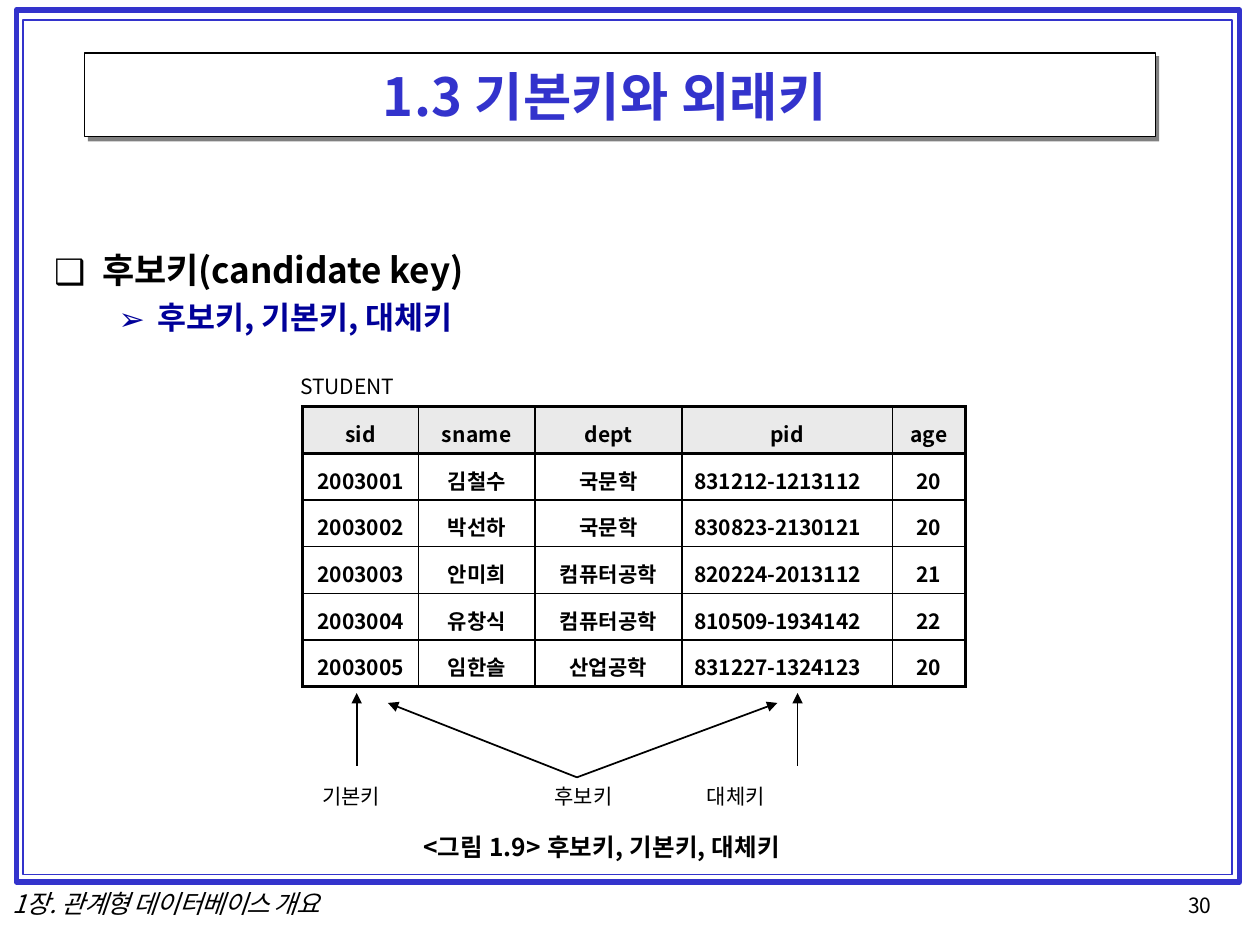
from lxml import etree
from pptx import Presentation
from pptx.dml.color import RGBColor
from pptx.enum.shapes import MSO_CONNECTOR, MSO_SHAPE
from pptx.enum.text import MSO_ANCHOR, MSO_AUTO_SIZE, PP_ALIGN
from pptx.oxml.ns import qn
from pptx.util import Cm, Pt

RECT, STRAIGHT = MSO_SHAPE.RECTANGLE, MSO_CONNECTOR.STRAIGHT
LEFT, CENTER = PP_ALIGN.LEFT, PP_ALIGN.CENTER
TOP, NO_FIT = MSO_ANCHOR.TOP, MSO_AUTO_SIZE.NONE
FONT = "Noto Sans CJK KR"
BLACK, WHITE, BLUE, NAVY = "000000", "FFFFFF", "3333CC", "000099"
GREY, HEADER = "808080", "EAEAEA"
THIN, THICK = 1, 2.25

# Boxes: left, top, width, height in cm; then fill, line colour, line width
FRAMES = [
    ((0.33, 0.2, 24.66, 17.58), None, BLUE, 3),
    ((0.46, 0.41, 24.38, 17.22), None, BLUE, 1),
    ((1.77, 1.13, 21.6, 1.72), GREY, None, 0),
    ((1.7, 1.07, 21.59, 1.68), WHITE, BLACK, 0.75),
]
TITLE = [("1.3 ", 0.1), ("기본키와 ", 0.2), ("외래키", 0.1)]
# Bullet, left margin, hanging indent, space before, size, colour, runs
BULLETS = [
    ("❑", 0.99, -0.97, 0, 20, BLACK, [("후보키(candidate ", -0.1), ("key)", 0.1)]),
    ("➢", 2.11, -0.79, 4.3, 18, NAVY, [("후보키, 기본키, ", -0.1), ("대체키", 0.2)]),
]
STUDENTS = [
    ("sid", "sname", "dept", "pid", "age"),
    ("2003001", "김철수", "국문학", "831212-1213112", "20"),
    ("2003002", "박선하", "국문학", "830823-2130121", "20"),
    ("2003003", "안미희", "컴퓨터공학", "820224-2013112", "21"),
    ("2003004", "유창식", "컴퓨터공학", "810509-1934142", "22"),
    ("2003005", "임한솔", "산업공학", "831227-1324123", "20"),
]
COL_WIDTHS, ROW_HEIGHT = (2.34, 2.34, 2.97, 4.24, 1.47), 0.94
PID = STUDENTS[0].index("pid")
COL_SPACING = (0, 0.1, 0.1, -0.1, 0.1)
# Text, box, letter spacing, font format, exact line height
LABELS = [
    ("STUDENT", (6.05, 7.54, 2.4, 0.58), 0, {"size": Pt(12)}, None),
    ("기본키", (6.5, 15.79, 1.5, 0.58), 0, {"size": Pt(12)}, None),
    ("후보키", (11.18, 15.79, 1.5, 0.58), 0, {"size": Pt(12)}, None),
    ("대체키", (14.25, 15.79, 1.5, 0.58), 0, {"size": Pt(12)}, None),
    ("<그림 1.9> 후보키, 기본키, 대체키", (8.53, 16.77, 8.8, 0.7), 0.1,
     {"size": Pt(14), "bold": True}, None),
    ("1장. 관계형 데이터베이스 개요", (0.25, 17.93, 7.5, 0.58), -0.5,
     {"size": Pt(14.5), "italic": True}, Pt(16.6)),
    ("30", (23.95, 18.01, 0.7, 0.48), 0, {"size": Pt(12)}, Pt(13.7)),
]
# Each arrow points from its first end to its second
ARROWS = [
    ((7.19, 15.44), (7.19, 13.97)),
    ((16.08, 15.44), (16.08, 13.97)),
    ((11.63, 15.67), (7.82, 14.17)),
    ((11.63, 15.67), (15.67, 14.17)),
]


def rgb(value):
    return RGBColor.from_string(value)


def cms(values):
    return [Cm(v) for v in values]


def set_frame(tf, top=0.0):
    formats = {"margin_left": 0, "margin_right": 0, "margin_bottom": 0,
               "margin_top": Cm(top), "word_wrap": True,
               "auto_size": NO_FIT, "vertical_anchor": TOP}
    for name, value in formats.items():
        setattr(tf, name, value)


def add_run(p, text, spacing=0.0, color=BLACK, **formats):
    r = p.add_run()
    r.text = text
    for name, value in {"name": FONT, **formats}.items():
        setattr(r.font, name, value)
    r.font.color.rgb = rgb(color)
    rpr = r.font._element
    rpr.set("spc", str(round(spacing * 100)))
    etree.SubElement(rpr, qn("a:ea")).set("typeface", FONT)


def set_indent(p, margin, hanging=0.0, bullet=None):
    ppr = p._p.get_or_add_pPr()
    ppr.set("marL", str(Cm(margin)))
    ppr.set("indent", str(Cm(hanging)))
    if bullet:
        etree.SubElement(ppr, qn("a:buFont")).set("typeface", FONT)
        etree.SubElement(ppr, qn("a:buChar")).set("char", bullet)


def set_borders(cell, widths):
    """Draw black borders; widths are in points, by side L, R, T, B."""
    tcpr = cell._tc.get_or_add_tcPr()
    for side, width in widths.items():
        ln = etree.SubElement(tcpr, qn(f"a:ln{side}"), w=str(Pt(width)))
        fill = etree.SubElement(ln, qn("a:solidFill"))
        etree.SubElement(fill, qn("a:srgbClr"), val=BLACK)


def add_frame(shapes, box, fill, line, width):
    sp = shapes.add_shape(RECT, *cms(box))
    sp.shadow.inherit = False
    if fill:
        sp.fill.solid()
        sp.fill.fore_color.rgb = rgb(fill)
    else:
        sp.fill.background()
    if line:
        sp.line.color.rgb = rgb(line)
        sp.line.width = Pt(width)
    else:
        sp.line.fill.background()


def place(shapes, sp, box):
    """Move a placeholder to its box, in front of the frames."""
    sp.left, sp.top, sp.width, sp.height = cms(box)
    shapes._spTree.append(sp._element)


def add_headings(shapes):
    title, body = shapes.title, shapes.placeholders[1]
    place(shapes, title, (1.7, 1.27, 21.56, 1.35))
    set_frame(title.text_frame, 0.03)
    p = title.text_frame.paragraphs[0]
    p.alignment = LEFT
    set_indent(p, 6.02)
    for text, spacing in TITLE:
        add_run(p, text, spacing, BLUE, size=Pt(30), bold=True)

    place(shapes, body, (1.07, 4.8, 8.59, 2.01))
    tf = body.text_frame
    set_frame(tf, 0.2)
    for i, (bullet, margin, hanging, before, size, color, runs) in enumerate(BULLETS):
        p = tf.add_paragraph() if i else tf.paragraphs[0]
        p.level = i
        p.space_before = Pt(before)
        set_indent(p, margin, hanging, bullet)
        for text, spacing in runs:
            add_run(p, text, spacing, color, size=Pt(size), bold=True)


def add_students(shapes):
    n_rows, n_cols = len(STUDENTS), len(COL_WIDTHS)
    box = (6.1, 8.2, sum(COL_WIDTHS), ROW_HEIGHT * n_rows)
    table = shapes.add_table(n_rows, n_cols, *cms(box)).table
    table.first_row = table.horz_banding = False
    for col, width in zip(table.columns, COL_WIDTHS):
        col.width = Cm(width)
    for i, values in enumerate(STUDENTS):
        table.rows[i].height = Cm(ROW_HEIGHT)
        for j, text in enumerate(values):
            cell = table.cell(i, j)
            set_borders(cell, {
                "L": THICK if j == 0 else THIN,
                "R": THICK if j == n_cols - 1 else THIN,
                "T": THICK if i <= 1 else THIN,
                "B": THICK if i in (0, n_rows - 1) else THIN,
            })
            cell.fill.solid()
            cell.fill.fore_color.rgb = rgb(WHITE if i else HEADER)
            cell.margin_left = cell.margin_right = cell.margin_bottom = 0
            cell.margin_top = Cm(0.23)
            p = cell.text_frame.paragraphs[0]
            if i and j == PID:
                set_indent(p, 0.25)
            else:
                p.alignment = CENTER
            add_run(p, text, COL_SPACING[j] if i else 0.1, size=Pt(12), bold=True)


def add_label(shapes, text, box, spacing, formats, line_height):
    tf = shapes.add_textbox(*cms(box)).text_frame
    set_frame(tf)
    p = tf.paragraphs[0]
    p.line_spacing = line_height
    add_run(p, text, spacing, **formats)


def add_arrow(shapes, start, end):
    sp = shapes.add_connector(STRAIGHT, *cms(start + end))
    sp.line.color.rgb = rgb(BLACK)
    sp.line.width = Pt(1)
    etree.SubElement(sp.line._get_or_add_ln(), qn("a:tailEnd"), type="triangle")
    etree.SubElement(sp._element.spPr, qn("a:effectLst"))


def main():
    prs = Presentation()
    prs.slide_width, prs.slide_height = Cm(25.4), Cm(19.05)
    shapes = prs.slides.add_slide(prs.slide_layouts[1]).shapes
    for frame in FRAMES:
        add_frame(shapes, *frame)
    add_headings(shapes)
    add_students(shapes)
    for arrow in ARROWS:
        add_arrow(shapes, *arrow)
    for label in LABELS:
        add_label(shapes, *label)
    prs.save("out.pptx")


if __name__ == "__main__":
    main()
